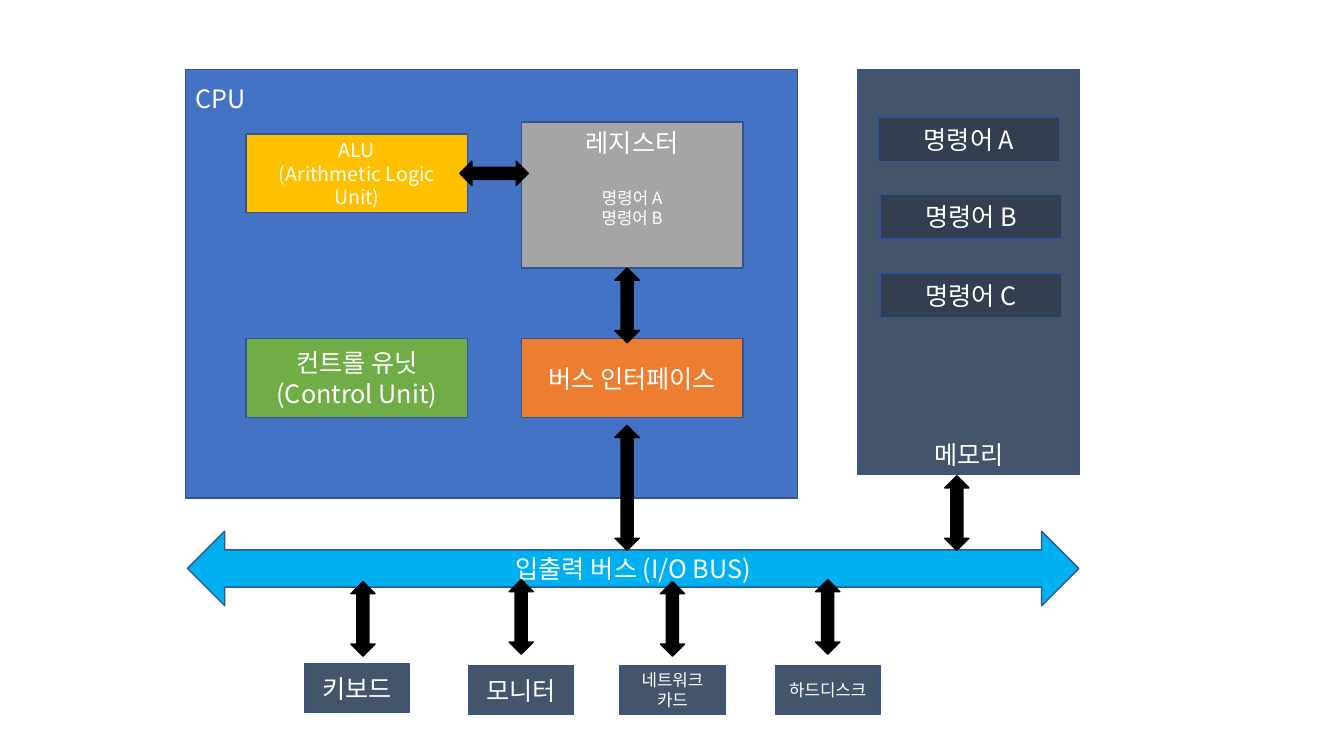
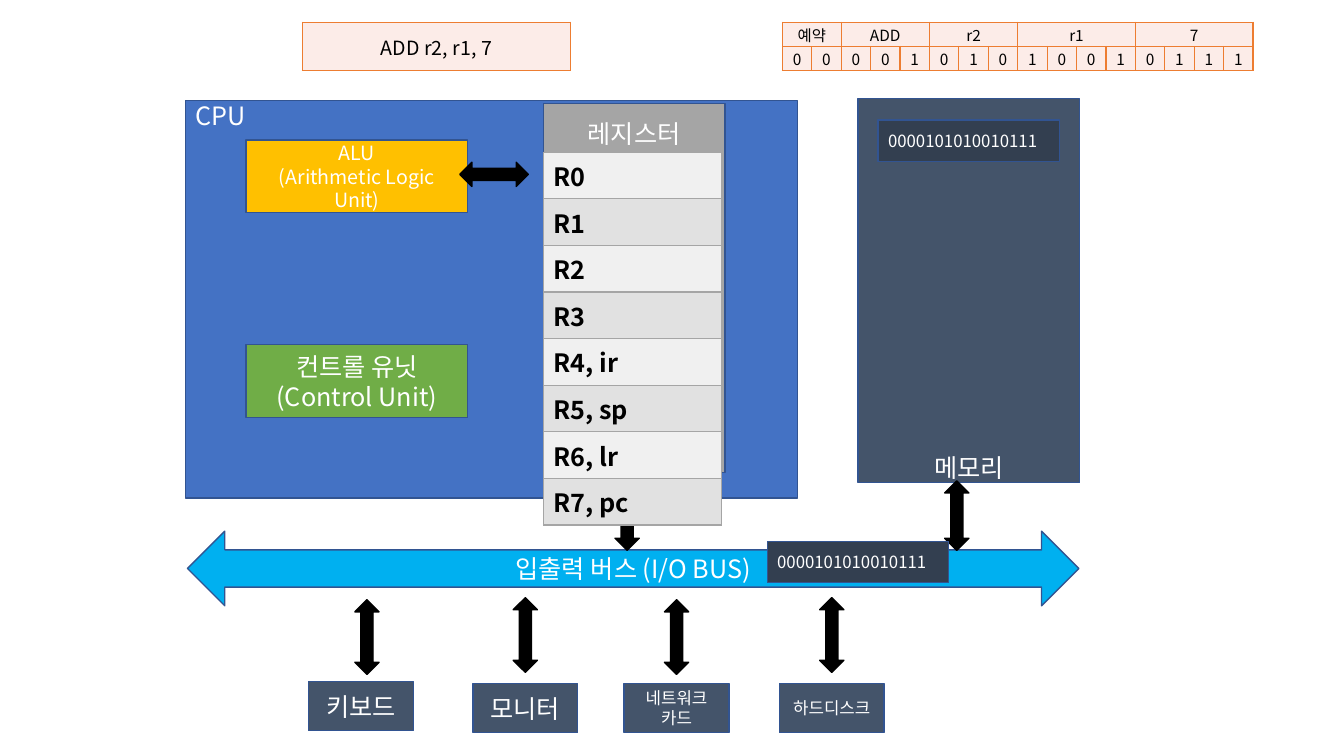
"""Build two slides on how a CPU, its memory and the I/O bus work together."""
from dataclasses import dataclass
from typing import Optional

from lxml.etree import SubElement
from pptx import Presentation
from pptx.dml.color import RGBColor
from pptx.enum.shapes import MSO_SHAPE
from pptx.enum.text import MSO_ANCHOR, PP_ALIGN
from pptx.oxml.ns import qn
from pptx.slide import Slide
from pptx.table import Table, _Cell
from pptx.text.text import _Paragraph
from pptx.util import Inches, Pt

FONT = "Noto Sans CJK KR"
WHITE = RGBColor(0xFF, 0xFF, 0xFF)
BLACK = RGBColor(0x00, 0x00, 0x00)
OUTLINE = RGBColor(0x32, 0x54, 0x91)
BLUE = RGBColor(0x44, 0x72, 0xC4)
YELLOW = RGBColor(0xFF, 0xC0, 0x00)
GREEN = RGBColor(0x70, 0xAD, 0x47)
GRAY = RGBColor(0xA5, 0xA5, 0xA5)
ORANGE = RGBColor(0xED, 0x7D, 0x31)
SLATE = RGBColor(0x44, 0x54, 0x6A)
DARK_SLATE = RGBColor(0x33, 0x3F, 0x50)
SKY = RGBColor(0x00, 0xB0, 0xF0)
PINK = RGBColor(0xFC, 0xEC, 0xE8)
LIGHT_ROWS = (RGBColor(0xF0, 0xF0, 0xF0), RGBColor(0xE1, 0xE1, 0xE1))

MACHINE_CODE = "0000101010010111"
FIELDS = (("예약", 2), ("ADD", 3), ("r2", 3), ("r1", 4), ("7", 4))
REGISTERS = ("R0", "R1", "R2", "R3", "R4, ir", "R5, sp", "R6, lr", "R7, pc")


@dataclass(frozen=True)
class Box:
    """A filled shape with its text; an inset replaces the margin at its anchor."""
    left: float
    top: float
    width: float
    height: float
    fill: RGBColor
    lines: tuple[str, ...] = ()
    size: int = 18
    align: PP_ALIGN = PP_ALIGN.CENTER
    anchor: MSO_ANCHOR = MSO_ANCHOR.MIDDLE
    inset: Optional[float] = None
    kind: MSO_SHAPE = MSO_SHAPE.RECTANGLE
    outline: RGBColor = OUTLINE


@dataclass(frozen=True)
class Device:
    """A peripheral below the bus and the arrow that joins it."""
    name: str
    left: float
    top: float
    arrow_left: float
    arrow_top: float
    size: int


DEVICES = (
    Device("키보드", 3.02, 6.58, 3.48, 5.77, 18),
    Device("모니터", 4.65, 6.6, 5.05, 5.75, 18),
    Device("네트워크 카드", 6.15, 6.6, 6.55, 5.77, 12),
    Device("하드디스크", 7.69, 6.6, 8.09, 5.75, 12),
)


def set_font(p: _Paragraph, size: int, color: RGBColor, bold: bool = False) -> None:
    """Format a paragraph for Latin and Korean letters alike."""
    font = p.font
    font.size = Pt(size)
    font.bold = bold
    font.color.rgb = color
    font.name = FONT
    SubElement(p._p.pPr.find(qn("a:defRPr")), qn("a:ea"), typeface=FONT)


def add_box(s: Slide, box: Box, rotation: int = 0):
    """Draw a box and return its shape."""
    sp = s.shapes.add_shape(box.kind, Inches(box.left), Inches(box.top),
                            Inches(box.width), Inches(box.height))
    sp.shadow.inherit = False
    sp.rotation = rotation
    sp.fill.solid()
    sp.fill.fore_color.rgb = box.fill
    sp.line.color.rgb = box.outline
    sp.line.width = Pt(1)
    tf = sp.text_frame
    tf.word_wrap = True
    tf.vertical_anchor = box.anchor
    if box.inset is not None:
        tf.margin_top = tf.margin_bottom = Inches(box.inset)
    for i, line in enumerate(box.lines):
        p = tf.add_paragraph() if i else tf.paragraphs[0]
        p.text = line
        p.alignment = box.align
        set_font(p, box.size, WHITE)
    return sp


def add_arrow(s: Slide, left: float, top: float, height: float = 0.74,
              rotation: int = 0) -> None:
    """Draw a black double arrow."""
    add_box(s, Box(left, top, 0.24, height, BLACK, kind=MSO_SHAPE.UP_DOWN_ARROW,
                   outline=BLACK), rotation)


def add_cpu(s: Slide, top: float, inset: float, unit_height: float) -> None:
    """Draw the CPU with its ALU and control unit, both growing upwards."""
    add_box(s, Box(1.84, top, 6.07, 4.94 - top, BLUE, ("CPU",), align=PP_ALIGN.LEFT,
                   anchor=MSO_ANCHOR.TOP, inset=inset))
    add_box(s, Box(2.44, 2.11 - unit_height, 2.2, unit_height, YELLOW,
                   ("ALU", "(Arithmetic Logic Unit)"), 14))
    add_box(s, Box(2.44, 4.14 - unit_height, 2.2, unit_height, GREEN,
                   ("컨트롤 유닛", "(Control Unit)")))


def add_memory(s: Slide, top: float, height: float, inset: float) -> None:
    """Draw the memory block with its label at the bottom."""
    add_box(s, Box(8.51, top, 2.2, height, SLATE, ("메모리",),
                   anchor=MSO_ANCHOR.BOTTOM, inset=inset))


def add_bus(s: Slide, dx: float = 0, dy: float = 0) -> None:
    """Draw the I/O bus and its devices, the devices shifted by dx and dy."""
    add_box(s, Box(1.86, 5.27, 8.84, 0.74, SKY, ("입출력 버스 (I/O BUS)",),
                   kind=MSO_SHAPE.LEFT_RIGHT_ARROW))
    for d in DEVICES:
        add_arrow(s, d.arrow_left + dx, d.arrow_top + dy)
        add_box(s, Box(d.left + dx, d.top + dy, 1.04, 0.49, SLATE, (d.name,), d.size))


def add_code(s: Slide, left: float, top: float) -> None:
    """Draw the machine code word."""
    add_box(s, Box(left, top, 1.8, 0.41, DARK_SLATE, (MACHINE_CODE,), 12, PP_ALIGN.LEFT))


def add_grid(s: Slide, left: float, top: float, width: float, height: float,
             rows: int, cols: int) -> Table:
    """Add an unstyled table with equal rows and columns."""
    table = s.shapes.add_table(rows, cols, Inches(left), Inches(top),
                               Inches(width), Inches(height)).table
    table.first_row = table.horz_banding = False
    return table


def style_cell(cell: _Cell, fill: RGBColor, border: RGBColor) -> None:
    """Give a cell its borders and fill."""
    tc_pr = cell._tc.get_or_add_tcPr()
    for side in ("a:lnL", "a:lnR", "a:lnT", "a:lnB"):
        ln = SubElement(tc_pr, qn(side), w=str(Pt(1)))
        SubElement(SubElement(ln, qn("a:solidFill")), qn("a:srgbClr"), val=str(border))
    cell.fill.solid()
    cell.fill.fore_color.rgb = fill


def fill_cell(cell: _Cell, text: str, size: int) -> None:
    """Write centred text in a cell with narrow margins."""
    cell.margin_left = cell.margin_right = cell.margin_top = Inches(0.01)
    cell.margin_bottom = 0
    cell.vertical_anchor = MSO_ANCHOR.MIDDLE
    p = cell.text_frame.paragraphs[0]
    p.text = text
    p.alignment = PP_ALIGN.CENTER
    set_font(p, size, BLACK)


def add_register_table(s: Slide) -> None:
    """List the registers in banded rows."""
    table = add_grid(s, 5.39, 1.51, 1.77, 3.7, len(REGISTERS), 1)
    for i, name in enumerate(REGISTERS):
        cell = table.cell(i, 0)
        style_cell(cell, LIGHT_ROWS[i % 2], GRAY)
        p = cell.text_frame.paragraphs[0]
        p.text = name
        set_font(p, 18, BLACK, bold=True)


def add_instruction_tables(s: Slide) -> None:
    """Show the instruction in assembly and as encoded bits."""
    assembly = add_grid(s, 3, 0.22, 2.66, 0.48, 1, 1).cell(0, 0)
    style_cell(assembly, PINK, ORANGE)
    fill_cell(assembly, "ADD r2, r1, 7", 14)
    table = add_grid(s, 7.76, 0.22, 4.67, 0.48, 2, len(MACHINE_CODE))
    for cell in table.iter_cells():
        style_cell(cell, PINK, ORANGE)
    start = 0
    for name, span in FIELDS:
        field = table.cell(0, start)
        field.merge(table.cell(0, start + span - 1))
        fill_cell(field, name, 11)
        start += span
    for col, bit in enumerate(MACHINE_CODE):
        fill_cell(table.cell(1, col), bit, 11)


def build_structure(s: Slide) -> None:
    """Show the parts of the computer and the instructions in memory."""
    add_cpu(s, 0.69, 0.14, 0.78)
    register = add_box(s, Box(5.17, 1.21, 2.2, 1.45, GRAY,
                              ("레지스터", "명령어 A", "명령어 B"),
                              anchor=MSO_ANCHOR.TOP, inset=0.05))
    commands = register.text_frame.paragraphs[1:]
    for p in commands:
        p.font.size = Pt(12)
    commands[0].space_before = Pt(22)
    add_box(s, Box(5.17, 3.36, 2.2, 0.78, ORANGE, ("버스 인터페이스",)))
    add_memory(s, 0.69, 4.02, 0.05)
    add_bus(s)
    add_arrow(s, 6.1, 4.22, 1.24)
    add_arrow(s, 6.1, 2.66)
    add_arrow(s, 4.78, 1.38, 0.68, 90)
    add_arrow(s, 9.37, 4.72)
    for left, top, name in ((8.71, 1.16, "A"), (8.73, 1.93, "B"), (8.73, 2.71, "C")):
        add_box(s, Box(left, top, 1.8, 0.44, DARK_SLATE, (f"명령어 {name}",)))


def build_instruction(s: Slide) -> None:
    """Show one encoded instruction on its way from memory to the registers."""
    add_cpu(s, 1, 0, 0.72)
    add_box(s, Box(5.39, 1.03, 1.8, 3.66, GRAY, ("레지스터",),
                   anchor=MSO_ANCHOR.TOP, inset=0.14))
    add_memory(s, 0.98, 3.81, 0)
    add_bus(s, 0.04, 0.18)
    add_arrow(s, 6.1, 4.72)
    add_arrow(s, 4.78, 1.39, 0.68, 90)
    add_arrow(s, 9.37, 4.77, 0.69)
    add_code(s, 8.71, 1.19)
    add_register_table(s)
    add_code(s, 7.61, 5.37)
    add_instruction_tables(s)


def main() -> None:
    """Build and save the deck."""
    prs = Presentation()
    prs.slide_width, prs.slide_height = Inches(13.33), Inches(7.5)
    for build in (build_structure, build_instruction):
        build(prs.slides.add_slide(prs.slide_layouts[6]))
    prs.save("out.pptx")


main()
